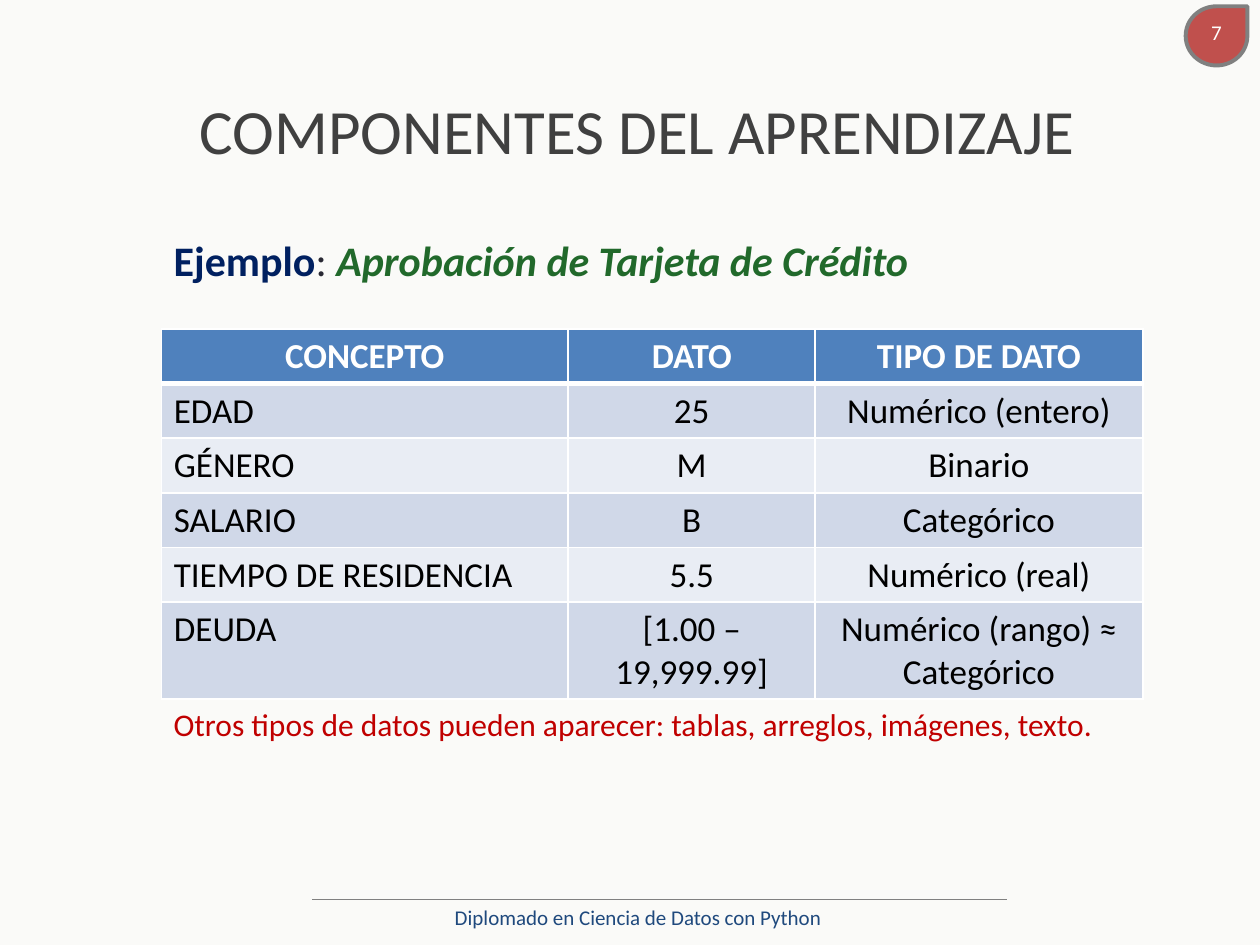
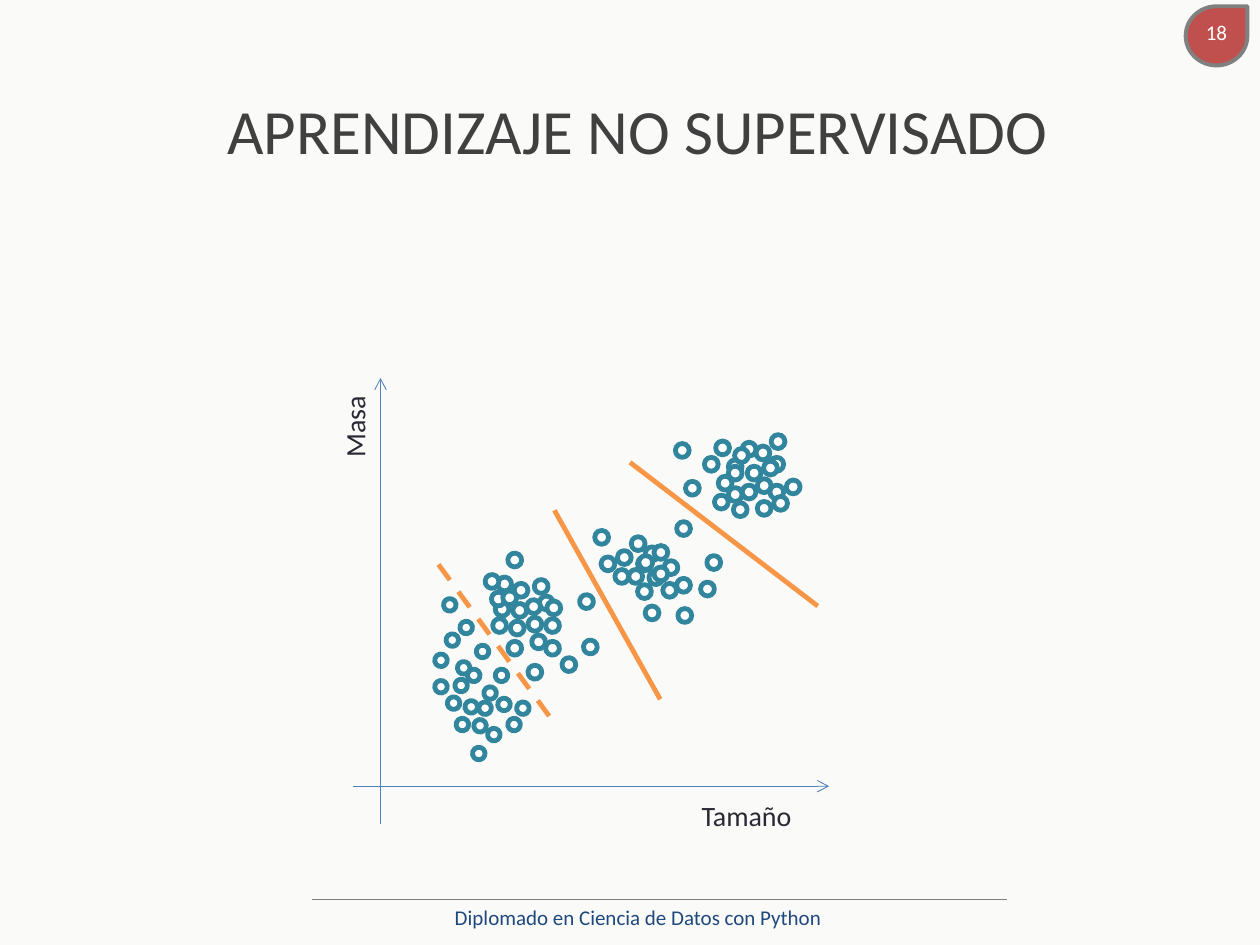
from dataclasses import dataclass
from typing import Any

from lxml.etree import SubElement
from pptx import Presentation
from pptx.dml.color import RGBColor
from pptx.enum.dml import MSO_LINE
from pptx.enum.shapes import MSO_CONNECTOR, MSO_SHAPE
from pptx.enum.text import MSO_ANCHOR, MSO_AUTO_SIZE, PP_ALIGN
from pptx.oxml.ns import qn
from pptx.util import Inches, Pt

FONT = "Calibri"
COLORS = {
    "background": "FAFAF8",
    "title": "404040",
    "text": "292934",
    "black": "000000",
    "white": "FFFFFF",
    "footer": "1F497D",
    "gray": "808080",
    "badge": "C0504D",
    "blue": "4F81BD",
    "navy": "002060",
    "green": "21692B",
    "red": "C00000",
    "band_dark": "D0D8E8",
    "band_light": "E9EDF4",
    "dot": "31859C",
    "divider": "F79646",
}
FOOTER = "Diplomado en Ciencia de Datos con Python"
COLUMN_WIDTHS = (3.23, 1.96, 2.6)
ROW_HEIGHT = 0.41
TABLE_ROWS = (
    ("CONCEPTO", "DATO", "TIPO DE DATO"),
    ("EDAD", "25", "Numérico (entero)"),
    ("GÉNERO", "M", "Binario"),
    ("SALARIO", "B", "Categórico"),
    ("TIEMPO DE RESIDENCIA", "5.5", "Numérico (real)"),
    ("DEUDA", "[1.00 – 19,999.99]", "Numérico (rango) ≈ Categórico"),
)


@dataclass(frozen=True)
class Line:
    start: tuple[float, float]
    end: tuple[float, float]
    color: str
    width: float
    arrow: bool = False
    dashed: bool = False


@dataclass(frozen=True)
class Cluster:
    diameter: float
    rotation: float
    corners: tuple[tuple[float, float], ...]


FOOTER_RULE = Line((2.48, 7.14), (7.99, 7.14), "gray", 0.5)
AXES = (
    Line((3.02, 6.54), (3.02, 3), "blue", 0.5, arrow=True),
    Line((2.8, 6.24), (6.58, 6.24), "blue", 0.5, arrow=True),
)
DIVIDERS = (
    Line((5, 3.67), (6.49, 4.81), "divider", 2.75),
    Line((4.4, 4.05), (5.24, 5.55), "divider", 2.75),
    Line((3.48, 4.48), (4.4, 5.74), "divider", 2.75, dashed=True),
)
CLUSTERS = (
    Cluster(0.11, 0, (
        (5.15, 4.53), (5.12, 4.34), (5.06, 4.42), (5.06, 4.64), (5.26, 4.63), (5.37, 4.59),
        (5.27, 4.45), (4.77, 4.42), (5.01, 4.26), (4.88, 4.52), (4.72, 4.21), (4.9, 4.37),
        (5.61, 4.41), (5.12, 4.81), (5.37, 4.14), (5.07, 4.41), (4.99, 4.52), (5.19, 4.5),
        (5.19, 4.33), (5.38, 4.83), (5.56, 4.62),
    )),
    Cluster(0.11, 0, (
        (5.82, 3.99), (5.89, 3.51), (5.67, 3.93), (5.7, 3.78), (5.89, 3.85), (5.78, 3.65),
        (6.12, 3.45), (6.01, 3.98), (6.11, 3.85), (6, 3.54), (5.93, 3.7), (6.11, 3.63),
        (5.59, 3.63), (5.78, 3.7), (5.68, 3.5), (5.83, 3.56), (6.01, 3.8), (6.14, 3.94),
        (6.24, 3.81), (6.06, 3.66), (5.44, 3.82), (5.78, 3.87), (5.36, 3.52),
    )),
    Cluster(0.11, 36.5, (
        (4.19, 4.9), (4.28, 4.73), (4.18, 4.76), (4.05, 4.93), (4.22, 5.04), (4.33, 5.09),
        (4.33, 4.91), (3.95, 4.58), (4.24, 4.6), (3.93, 4.78), (4.03, 4.39), (4.08, 4.63),
        (4.63, 5.08), (4.03, 5.09), (4.6, 4.72), (3.91, 4.91), (4.07, 4.79), (3.9, 4.7),
        (4.34, 4.77), (4.19, 5.28), (4.46, 5.22), (3.85, 4.56), (3.99, 4.69),
    )),
    Cluster(0.1, 229.9, (
        (3.69, 5.56), (3.61, 5.39), (4.03, 5.7), (3.84, 5.45), (3.71, 5.31), (3.63, 5.25),
        (3.45, 5.19), (3.87, 5.78), (3.62, 5.7), (4.1, 5.57), (3.75, 5.93), (3.76, 5.71),
        (3.52, 4.75), (3.93, 5.31), (3.45, 5.4), (3.95, 5.54), (3.8, 5.57), (3.54, 5.03),
        (3.55, 5.53), (3.78, 5.12), (3.65, 4.93),
    )),
)


def color_of(name: str) -> RGBColor:
    return RGBColor.from_string(COLORS[name])


def write(frame: Any, text: str, *, size: float, color: str, bold: bool = False,
          italic: bool = False, align: PP_ALIGN = PP_ALIGN.LEFT) -> None:
    para = frame.paragraphs[0]
    para.alignment = align
    span = para.add_run()
    span.text = text
    span.font.name = FONT
    span.font.size = Pt(size)
    span.font.bold = bold
    span.font.italic = italic
    span.font.color.rgb = color_of(color)


def add_box(shapes: Any, left: float, top: float, width: float, height: float,
            fits_text: bool = False) -> Any:
    box = shapes.add_textbox(Inches(left), Inches(top), Inches(width), Inches(height))
    frame = box.text_frame
    frame.word_wrap = not fits_text
    frame.auto_size = MSO_AUTO_SIZE.SHAPE_TO_FIT_TEXT if fits_text else MSO_AUTO_SIZE.NONE
    return frame


def add_line(shapes: Any, line: Line) -> None:
    ends = [Inches(length) for length in (*line.start, *line.end)]
    connector = shapes.add_connector(MSO_CONNECTOR.STRAIGHT, *ends)
    connector.line.color.rgb = color_of(line.color)
    connector.line.width = Pt(line.width)
    if line.dashed:
        connector.line.dash_style = MSO_LINE.DASH
    properties = connector._element.spPr
    if line.arrow:
        SubElement(properties.find(qn("a:ln")), qn("a:tailEnd"), type="arrow")
    SubElement(properties, qn("a:effectLst"))


def add_outlined(shapes: Any, kind: MSO_SHAPE, left: float, top: float, width: float,
                 height: float, fill: str, line: str, weight: float) -> Any:
    shape = shapes.add_shape(kind, Inches(left), Inches(top), Inches(width), Inches(height))
    shape.shadow.inherit = False
    shape.fill.solid()
    shape.fill.fore_color.rgb = color_of(fill)
    shape.line.color.rgb = color_of(line)
    shape.line.width = Pt(weight)
    return shape


def add_page(deck: Any, number: int, title: str, title_height: float) -> Any:
    page = deck.slides.add_slide(deck.slide_layouts[6])
    page.background.fill.solid()
    page.background.fill.fore_color.rgb = color_of("background")
    add_line(page.shapes, FOOTER_RULE)

    badge = add_outlined(page.shapes, MSO_SHAPE.TEAR, 9.41, 0.05, 0.49, 0.47,
                         "badge", "gray", 2.25).text_frame
    badge.margin_left = badge.margin_right = Inches(0.04)
    badge.margin_top = badge.margin_bottom = Inches(0.04)
    badge.vertical_anchor = MSO_ANCHOR.TOP
    write(badge, str(number), size=12, color="white", align=PP_ALIGN.CENTER)

    heading = add_box(page.shapes, 1.12, 0.75, 7.88, title_height)
    write(heading, title, size=36, color="title", align=PP_ALIGN.CENTER)
    heading.paragraphs[0].line_spacing = 0.89

    footer = add_box(page.shapes, 1.13, 7.06, 7.87, 0.44)
    footer.vertical_anchor = MSO_ANCHOR.MIDDLE
    write(footer, FOOTER, size=12, color="footer", align=PP_ALIGN.CENTER)
    return page


def set_borders(cell: Any, bottom: float) -> None:
    properties = cell._tc.get_or_add_tcPr()
    for side, weight in (("lnL", 1), ("lnR", 1), ("lnT", 1), ("lnB", bottom)):
        border = SubElement(properties, qn(f"a:{side}"), w=str(Pt(weight)))
        fill = SubElement(border, qn("a:solidFill"))
        SubElement(fill, qn("a:srgbClr"), val=COLORS["white"])


def add_data_table(page: Any) -> None:
    holder = page.shapes.add_table(len(TABLE_ROWS), len(COLUMN_WIDTHS), Inches(1.28),
                                   Inches(2.61), Inches(sum(COLUMN_WIDTHS)), Inches(2.93))
    table = holder.table
    for column, width in zip(table.columns, COLUMN_WIDTHS):
        column.width = Inches(width)
    for row_index, texts in enumerate(TABLE_ROWS):
        table.rows[row_index].height = Inches(ROW_HEIGHT)
        header = row_index == 0
        band = "blue" if header else ("band_light", "band_dark")[row_index % 2]
        for column_index, text in enumerate(texts):
            cell = table.cell(row_index, column_index)
            set_borders(cell, 3 if header else 1)
            cell.fill.solid()
            cell.fill.fore_color.rgb = color_of(band)
            centered = header or column_index > 0
            write(cell.text_frame, text, size=20, color="white" if header else "black",
                  bold=header, align=PP_ALIGN.CENTER if centered else PP_ALIGN.LEFT)
    holder.height = Inches(2.93)


def build_components(deck: Any) -> None:
    page = add_page(deck, 7, "COMPONENTES DEL APRENDIZAJE", 0.88)
    example = add_box(page.shapes, 1.28, 1.81, 6.08, 0.5, fits_text=True)
    write(example, "Ejemplo", size=24, color="navy", bold=True)
    write(example, ": ", size=24, color="text")
    write(example, "Aprobación de Tarjeta de Crédito", size=24, color="green",
          bold=True, italic=True)
    add_data_table(page)
    remark = add_box(page.shapes, 1.28, 5.55, 7.6, 0.4, fits_text=True)
    write(remark, "Otros tipos de datos pueden aparecer: tablas, arreglos, imágenes, texto.",
          size=18, color="red")


def build_unsupervised(deck: Any) -> None:
    page = add_page(deck, 18, "APRENDIZAJE NO SUPERVISADO", 1.19)
    axes = page.shapes.add_group_shape().shapes
    for axis in AXES:
        add_line(axes, axis)
    mass = add_box(axes, 2.63, 3.08, 0.47, 0.65, fits_text=True)
    mass._txBody.bodyPr.set("vert", "vert270")
    write(mass, "Masa", size=16, color="text")
    size_label = add_box(axes, 5.47, 6.29, 1, 0.37, fits_text=True)
    write(size_label, "Tamaño", size=16, color="text")

    for cluster in CLUSTERS:
        dots = page.shapes.add_group_shape().shapes
        for left, top in cluster.corners:
            dot = add_outlined(dots, MSO_SHAPE.OVAL, left, top, cluster.diameter,
                               cluster.diameter, "white", "dot", 2.75)
            dot.rotation = cluster.rotation

    dividers = page.shapes.add_group_shape().shapes
    for divider in DIVIDERS:
        add_line(dividers, divider)


def main() -> None:
    deck = Presentation()
    deck.slide_width = Inches(10)
    deck.slide_height = Inches(7.5)
    build_components(deck)
    build_unsupervised(deck)
    deck.save("out.pptx")


if __name__ == "__main__":
    main()
